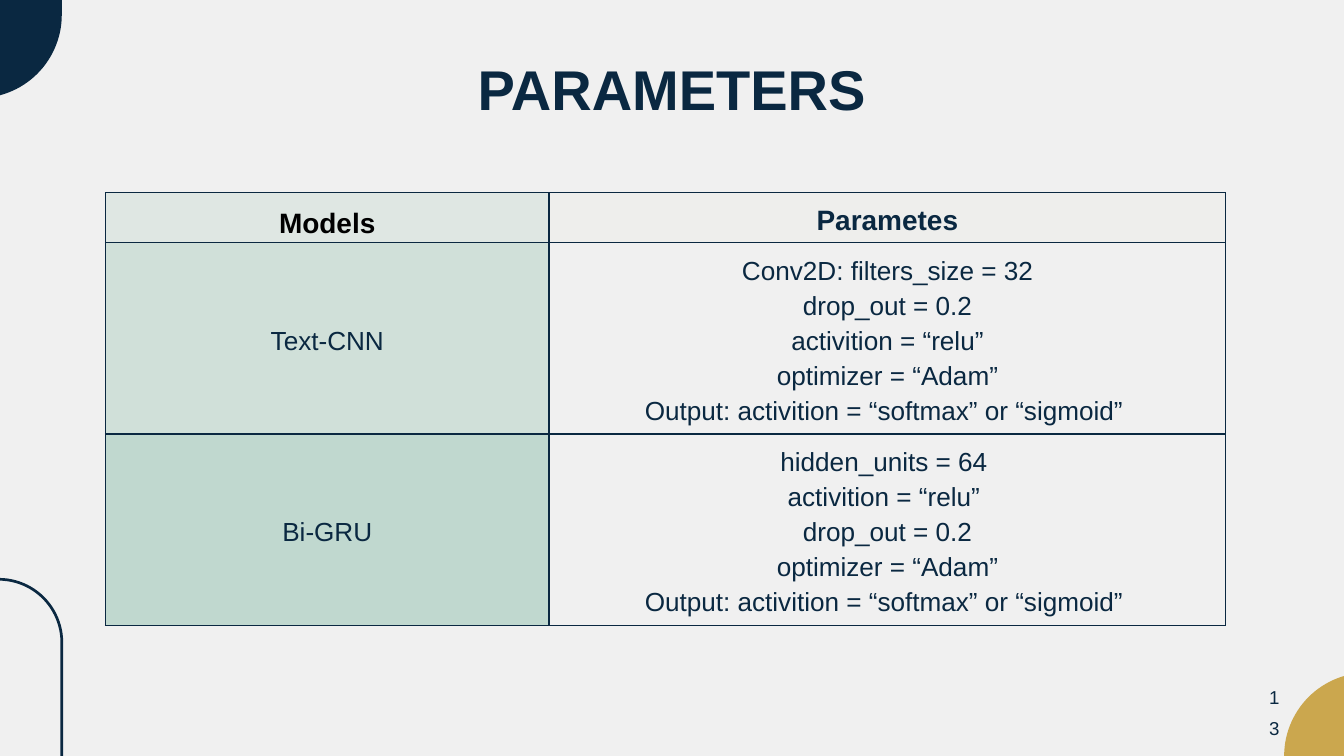
from math import cos, radians, sin

from lxml.etree import SubElement
from pptx import Presentation
from pptx.dml.color import RGBColor
from pptx.enum.shapes import MSO_SHAPE
from pptx.enum.text import MSO_ANCHOR, MSO_AUTO_SIZE, PP_ALIGN
from pptx.oxml.ns import qn
from pptx.util import Inches, Pt

NAVY, GOLD, BLACK, BACKGROUND = "0A2841", "CBA74E", "000000", "F0F0F0"
OUTPUT = "Output: activition = “softmax” or “sigmoid” "
HEADER = [("Models", "DFE7E3", BLACK, 1.4), ("Parametes", "EEEEEC", NAVY, 1.2)]
MODELS = [
    ("Text-CNN", "D0E0D9", [
        "Conv2D: filters_size = 32", "drop_out = 0.2", "activition = “relu”",
        "optimizer = “Adam”", OUTPUT]),
    ("Bi-GRU", "C0D8CF", [
        "hidden_units = 64 ", "activition = “relu” ", "drop_out = 0.2",
        "optimizer = “Adam”", OUTPUT]),
]


def color(value):
    return RGBColor.from_string(value)


class SlideBuilder:
    font_name = "Arial"
    border_width = Pt(1.5)
    cell_margin = Inches(0.02)

    def __init__(self, presentation):
        self.slide = presentation.slides.add_slide(presentation.slide_layouts[6])
        fill = self.slide.background.fill
        fill.solid()
        fill.fore_color.rgb = color(BACKGROUND)

    def set_text(self, frame, lines, size, text_color=NAVY, bold=False, spacing=1.2):
        frame.word_wrap = True
        frame.text = "\n".join(lines)
        for paragraph in frame.paragraphs:
            paragraph.alignment = PP_ALIGN.CENTER
            paragraph.line_spacing = spacing
            font = paragraph.font
            font.name, font.size, font.bold = self.font_name, Pt(size), bold
            font.color.rgb = color(text_color)

    def text(self, content, left, top, width, height, size, **style):
        box = self.slide.shapes.add_textbox(
            Inches(left), Inches(top), Inches(width), Inches(height))
        frame = box.text_frame
        frame.margin_left = frame.margin_right = 0
        frame.margin_top = frame.margin_bottom = 0
        self.set_text(frame, [content], size, **style)
        frame.auto_size = MSO_AUTO_SIZE.SHAPE_TO_FIT_TEXT

    def capsule(self, left, top, width, height, line_color):
        shape = self.slide.shapes.add_shape(
            MSO_SHAPE.ROUNDED_RECTANGLE,
            Inches(left), Inches(top), Inches(width), Inches(height))
        shape.adjustments[0] = 0.5
        shape.shadow.inherit = False
        shape.fill.background()
        shape.line.color.rgb = color(line_color)
        shape.line.width = Pt(2.9)

    def quarter_disc(self, center_x, center_y, radius, start, fill_color, corners):
        angles = [radians(start + step * 3) for step in range(31)]
        arc = [(center_x + radius * cos(angle), center_y + radius * sin(angle))
               for angle in angles]
        points = [(Inches(x), Inches(y)) for x, y in arc + corners]
        builder = self.slide.shapes.build_freeform(*points[0])
        builder.add_line_segments(points[1:], close=True)
        shape = builder.convert_to_shape()
        shape.shadow.inherit = False
        shape.fill.solid()
        shape.fill.fore_color.rgb = color(fill_color)
        shape.line.fill.background()

    def table(self, left, top, widths, heights):
        table = self.slide.shapes.add_table(
            len(heights), len(widths), Inches(left), Inches(top),
            Inches(sum(widths)), Inches(sum(heights))).table
        for column, width in zip(table.columns, widths):
            column.width = Inches(width)
        for row, height in zip(table.rows, heights):
            row.height = Inches(height)
        return table

    def cell(self, cell, lines, size, fill_color=None, **style):
        cell.vertical_anchor = MSO_ANCHOR.MIDDLE
        cell.margin_left = cell.margin_right = self.cell_margin
        cell.margin_top = cell.margin_bottom = self.cell_margin
        properties = cell._tc.get_or_add_tcPr()
        for side in ("a:lnL", "a:lnR", "a:lnT", "a:lnB"):
            border = SubElement(properties, qn(side), w=str(self.border_width))
            solid = SubElement(border, qn("a:solidFill"))
            SubElement(solid, qn("a:srgbClr"), val=NAVY)
        if fill_color:
            cell.fill.solid()
            cell.fill.fore_color.rgb = color(fill_color)
        else:
            cell.fill.background()
        self.set_text(cell.text_frame, lines, size, **style)


def main():
    presentation = Presentation()
    presentation.slide_width = Inches(20)
    presentation.slide_height = Inches(11.25)
    builder = SlideBuilder(presentation)

    builder.capsule(-0.96, 8.62, 1.88, 7.95, NAVY)
    builder.quarter_disc(-0.32, 0.22, 1.24, 0, NAVY, [(-0.32, -0.02), (0.92, -0.02)])
    builder.quarter_disc(20.35, 11.25, 1.24, 180, GOLD, [(20.35, 11.25)])
    builder.text("PARAMETERS", 1.67, 0.61, 16.65, 1.01, 60, bold=True)

    table = builder.table(1.57, 2.87, [6.6, 10.07], [0.74, 2.85, 2.85])
    for column, (title, fill_color, text_color, spacing) in enumerate(HEADER):
        builder.cell(table.cell(0, column), [title], 30, fill_color,
                     text_color=text_color, bold=True, spacing=spacing)
    for row, (model, fill_color, parameters) in enumerate(MODELS, start=1):
        builder.cell(table.cell(row, 0), [model], 28, fill_color)
        builder.cell(table.cell(row, 1), parameters, 28)

    builder.text("13", 18.88, 10.07, 0.17, 0.22, 20, spacing=1.4)
    presentation.save("out.pptx")


if __name__ == "__main__":
    main()
